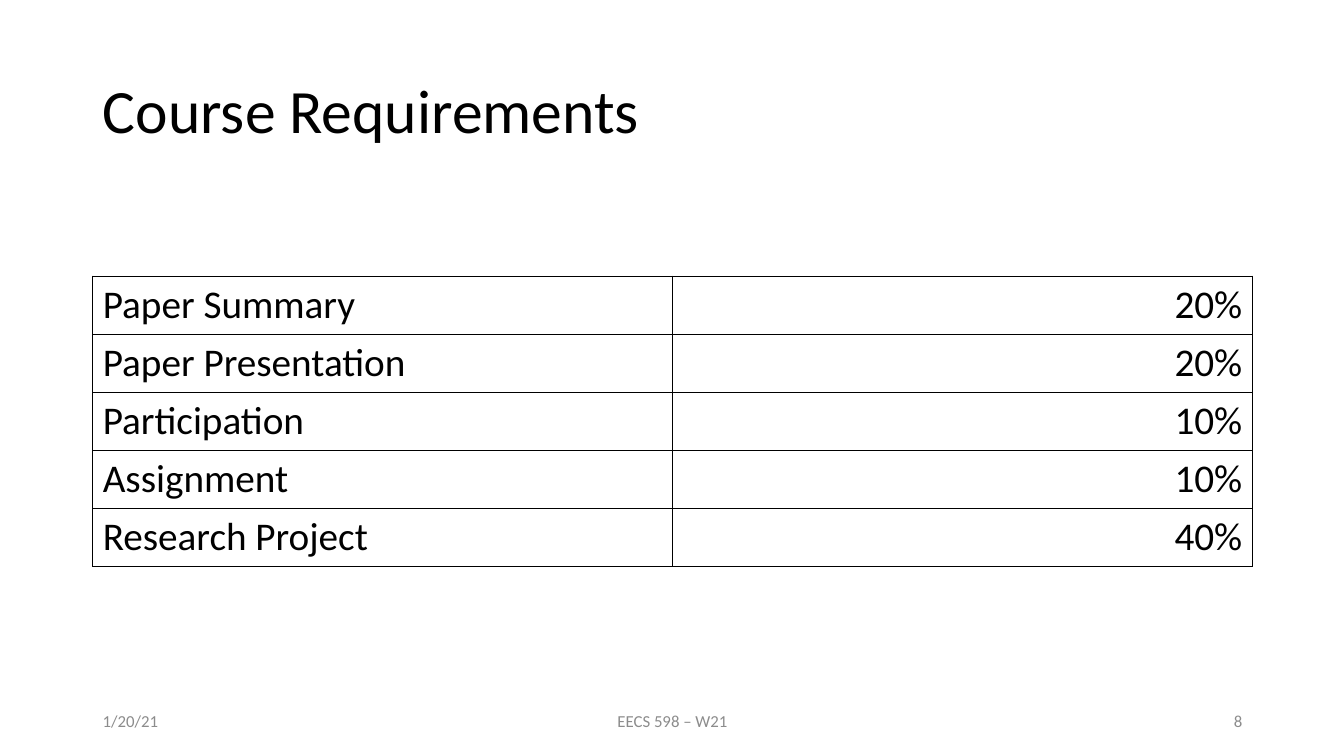
from dataclasses import dataclass

from lxml.etree import SubElement
from pptx import Presentation
from pptx.dml.color import RGBColor
from pptx.enum.text import MSO_ANCHOR, PP_ALIGN
from pptx.oxml.ns import qn
from pptx.slide import Slide
from pptx.table import _Cell
from pptx.text.text import TextFrame
from pptx.util import Inches, Pt

COLORS = {"ink": "000000", "footer": "8C8C8C"}
FONT = "Calibri"
SLIDE_WIDTH, SLIDE_HEIGHT = Inches(13.33), Inches(7.5)

# Content area shared by title, table and footer
MARGIN = Inches(0.92)
CONTENT_WIDTH = Inches(11.5)
COLUMN_WIDTH = CONTENT_WIDTH // 2
ROW_HEIGHT = Inches(2.88) // 5
TABLE_TOP = Inches(2.74)
FOOTER_TOP, FOOTER_HEIGHT = Inches(6.95), Inches(0.4)


@dataclass(frozen=True)
class Requirement:
    name: str
    weight: str


@dataclass(frozen=True)
class FooterItem:
    text: str
    width: float  # inches
    share: float  # part of the free width to its left
    align: PP_ALIGN


REQUIREMENTS = [
    Requirement("Paper Summary", "20%"),
    Requirement("Paper Presentation", "20%"),
    Requirement("Participation", "10%"),
    Requirement("Assignment", "10%"),
    Requirement("Research Project", "40%"),
]
FOOTER = [
    FooterItem("EECS 598 – W21", 4.5, 0.5, PP_ALIGN.CENTER),
    FooterItem("8", 3, 1, PP_ALIGN.RIGHT),
    FooterItem("1/20/21", 3, 0, PP_ALIGN.LEFT),
]


def write(frame: TextFrame, text: str, size: float, color: str, align: PP_ALIGN) -> None:
    frame.text = text
    paragraph = frame.paragraphs[0]
    paragraph.alignment = align
    paragraph.font.name = FONT
    paragraph.font.size = Pt(size)
    paragraph.font.color.rgb = RGBColor.from_string(COLORS[color])


def add_borders(cell: _Cell) -> None:
    properties = cell._tc.get_or_add_tcPr()
    for index, side in enumerate(("lnL", "lnR", "lnT", "lnB")):
        line = properties.makeelement(qn(f"a:{side}"), {"w": str(Pt(1))})
        fill = SubElement(line, qn("a:solidFill"))
        SubElement(fill, qn("a:srgbClr"), val=COLORS["ink"])
        properties.insert(index, line)


def add_title(slide: Slide) -> None:
    title = slide.shapes.title
    title.left, title.top = MARGIN, Inches(0.4)
    title.width, title.height = CONTENT_WIDTH, Inches(1.45)
    write(title.text_frame, "Course Requirements", 44, "ink", PP_ALIGN.LEFT)
    title.text_frame.vertical_anchor = MSO_ANCHOR.MIDDLE
    title.text_frame.paragraphs[0].line_spacing = 0.9


def add_requirements(slide: Slide) -> None:
    rows = len(REQUIREMENTS)
    table = slide.shapes.add_table(
        rows, 2, MARGIN, TABLE_TOP, CONTENT_WIDTH, ROW_HEIGHT * rows
    ).table
    table.first_row = table.horz_banding = False
    for column in table.columns:
        column.width = COLUMN_WIDTH
    for row, requirement in zip(table.rows, REQUIREMENTS):
        row.height = ROW_HEIGHT
        name, weight = row.cells
        write(name.text_frame, requirement.name, 28, "ink", PP_ALIGN.LEFT)
        write(weight.text_frame, requirement.weight, 28, "ink", PP_ALIGN.RIGHT)
        for cell in (name, weight):
            cell.fill.background()
            add_borders(cell)


def add_footer_item(slide: Slide, item: FooterItem) -> None:
    width = Inches(item.width)
    left = MARGIN + int((CONTENT_WIDTH - width) * item.share)
    frame = slide.shapes.add_textbox(left, FOOTER_TOP, width, FOOTER_HEIGHT).text_frame
    frame.word_wrap = True
    frame.vertical_anchor = MSO_ANCHOR.MIDDLE
    write(frame, item.text, 12, "footer", item.align)


def main() -> None:
    presentation = Presentation()
    presentation.slide_width, presentation.slide_height = SLIDE_WIDTH, SLIDE_HEIGHT
    slide = presentation.slides.add_slide(presentation.slide_layouts.get_by_name("Title Only"))
    add_title(slide)
    add_requirements(slide)
    for item in FOOTER:
        add_footer_item(slide, item)
    presentation.save("out.pptx")


if __name__ == "__main__":
    main()
